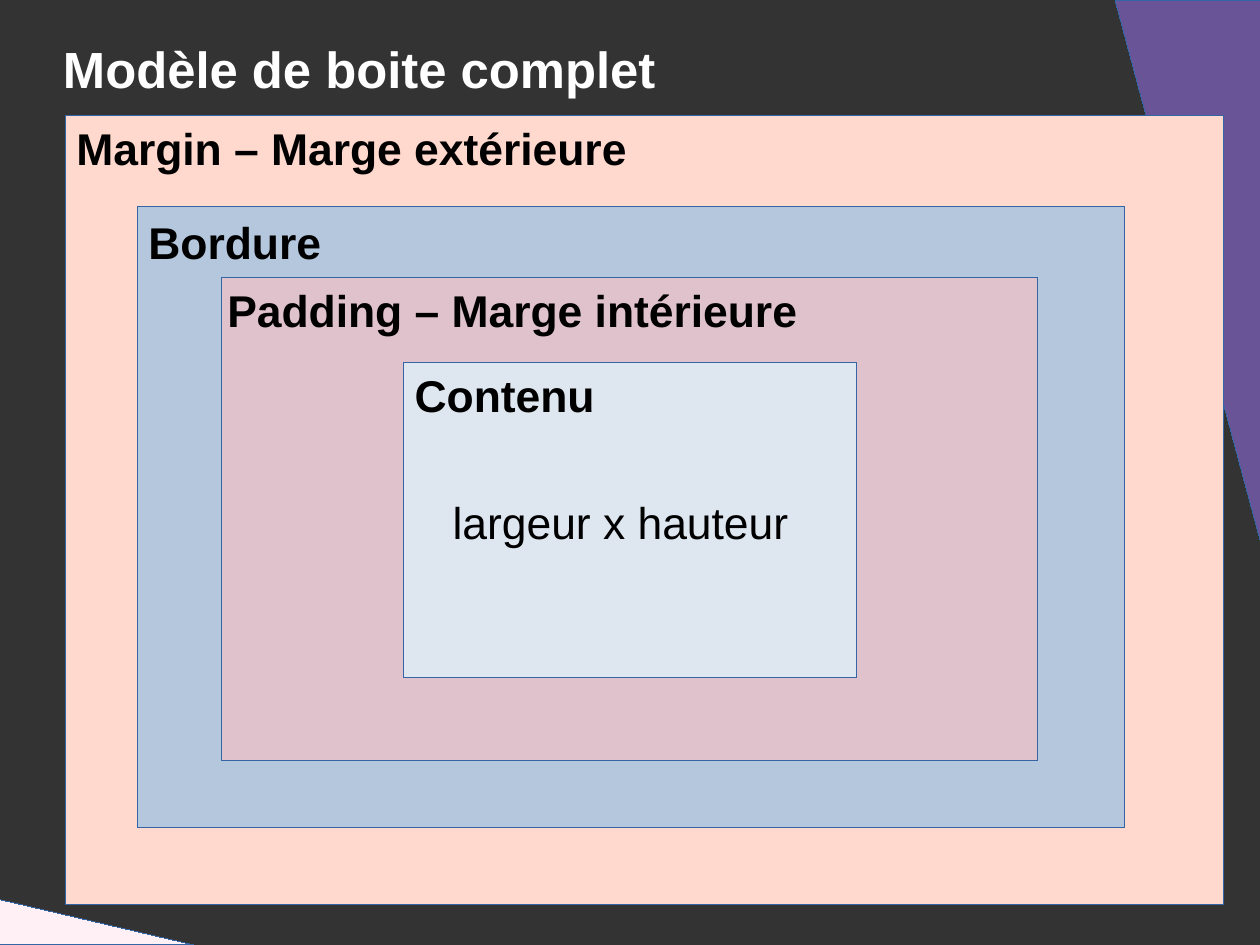
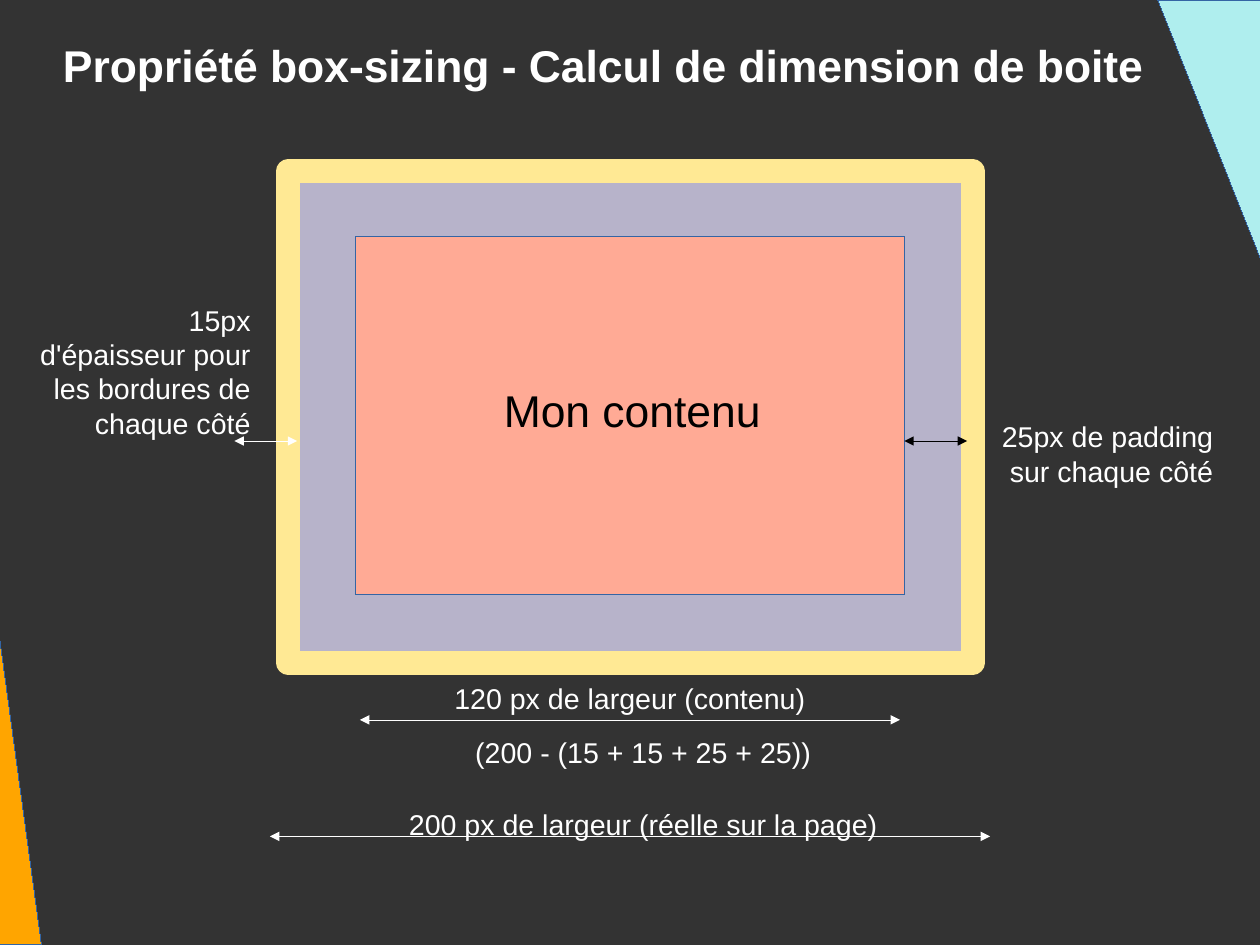
"""Build two slides on the CSS box model and box-sizing."""
from dataclasses import dataclass

from lxml.etree import SubElement
from pptx import Presentation
from pptx.dml.color import RGBColor
from pptx.dml.line import LineFormat
from pptx.enum.shapes import MSO_CONNECTOR as Conn, MSO_SHAPE as Form
from pptx.enum.text import PP_ALIGN as Align
from pptx.oxml.ns import qn
from pptx.shapes.autoshape import Shape
from pptx.slide import Slide
from pptx.util import Cm, Emu, Pt

WIDE, HIGH = Cm(28), Cm(21)
FONT = "Arial"
DARK, WHITE, BLACK, EDGE = "333333", "FFFFFF", "000000", "3465A4"


@dataclass(frozen=True)
class Area:
    """A place on the slide, in percent of its width and height."""
    left: float
    top: float
    width: float
    height: float


@dataclass(frozen=True)
class Box:
    """A filled rectangle with its outline."""
    area: Area
    fill: str
    edge: str = EDGE
    weight: float = 0


@dataclass(frozen=True)
class Wedge:
    """A right triangle in a slide corner."""
    area: Area
    fill: str
    turn: int = 0


@dataclass(frozen=True)
class Label:
    """A text with its style."""
    area: Area
    text: str
    size: int = 18
    color: str = WHITE
    bold: bool = False
    align: Align = Align.LEFT
    inset: bool = True


@dataclass(frozen=True)
class Arrow:
    """A level arrow with a head at each end."""
    start: float
    end: float
    level: float
    color: str = WHITE


def paint(code: str) -> RGBColor:
    """Turn a hex string into a colour."""
    return RGBColor.from_string(code)


def across(share: float) -> Emu:
    """Turn a share of the width into a length."""
    return Emu(round(WIDE * share / 100))


def down(share: float) -> Emu:
    """Turn a share of the height into a length."""
    return Emu(round(HIGH * share / 100))


def place(area: Area) -> tuple[Emu, Emu, Emu, Emu]:
    """Give the left, top, width and height of an area."""
    return across(area.left), down(area.top), across(area.width), down(area.height)


def trace(line: LineFormat, color: str, weight: float, *ends: str) -> None:
    """Style a line, writing its width even for a hairline."""
    line.color.rgb = paint(color)
    stroke = line._get_or_add_ln()
    stroke.set("w", str(Pt(weight)))
    SubElement(stroke, qn("a:round"))
    for end in ends:
        SubElement(stroke, qn(end), type="triangle")


def draw_form(slide: Slide, form: Form, item: Box | Wedge, edge: str,
              weight: float) -> Shape:
    """Draw a filled preset shape."""
    shape = slide.shapes.add_shape(form, *place(item.area))
    shape.shadow.inherit = False
    shape.fill.solid()
    shape.fill.fore_color.rgb = paint(item.fill)
    trace(shape.line, edge, weight)
    return shape


def draw_box(slide: Slide, box: Box) -> None:
    """Draw a rectangle."""
    draw_form(slide, Form.RECTANGLE, box, box.edge, box.weight)


def draw_wedge(slide: Slide, wedge: Wedge) -> None:
    """Draw a corner triangle."""
    draw_form(slide, Form.RIGHT_TRIANGLE, wedge, EDGE, 0).rotation = wedge.turn


def draw_label(slide: Slide, label: Label) -> None:
    """Draw a text box."""
    frame = slide.shapes.add_textbox(*place(label.area)).text_frame
    frame.word_wrap = True
    if not label.inset:
        frame.margin_left = frame.margin_right = 0
        frame.margin_top = frame.margin_bottom = 0
    para = frame.paragraphs[0]
    para.alignment = label.align
    run = para.add_run()
    run.text = label.text
    run.font.name = FONT
    run.font.size = Pt(label.size)
    run.font.bold = label.bold
    run.font.color.rgb = paint(label.color)


def draw_arrow(slide: Slide, arrow: Arrow) -> None:
    """Draw an arrow with two heads."""
    level = down(arrow.level)
    line = slide.shapes.add_connector(
        Conn.STRAIGHT, across(arrow.start), level, across(arrow.end), level)
    trace(line.line, arrow.color, 0, "a:headEnd", "a:tailEnd")
    SubElement(line._element.spPr, qn("a:effectLst"))


DRAW = {Box: draw_box, Wedge: draw_wedge, Label: draw_label, Arrow: draw_arrow}


def title(text: str, size: int) -> Label:
    """Give the title of a slide."""
    return Label(Area(5, 4, 90, 8), text, size, bold=True, inset=False)


def head(left: float, top: float, text: str) -> Label:
    """Give the bold heading of a nested box."""
    return Label(Area(left, top, 60, 6.4), text, 28, BLACK, True)


def note(left: float, top: float, width: float, height: float, text: str,
         align: Align = Align.CENTER) -> Label:
    """Give a white caption."""
    return Label(Area(left, top, width, height), text, align=align)


MODEL = (
    Wedge(Area(88.5, 0, 11.5, 57.1), "685496", 180),
    Wedge(Area(0, 95.2, 15.4, 4.8), "FFF0F5"),
    Box(Area(5.17, 12.21, 91.9, 83.56), "FFD8CE"),
    Box(Area(10.89, 21.89, 78.38, 65.66), "B4C7DC"),
    Box(Area(17.6, 29.38, 64.77, 51.15), "E0C2CD"),
    Box(Area(32.02, 38.33, 36, 33.37), "DEE6EF"),
    title("Modèle de boite complet", 32),
    head(5.17, 12.21, "Margin – Marge extérieure"),
    head(10.89, 22.13, "Bordure"),
    head(17.15, 29.38, "Padding – Marge intérieure"),
    head(32.02, 38.33, "Contenu"),
    Label(Area(35.02, 51.75, 30.04, 6.4), "largeur x hauteur", 28, BLACK),
)

SIZING = (
    title("Propriété box-sizing - Calcul de dimension de boite", 28),
    Wedge(Area(0, 67.8, 3.3, 32.2), "FFA500"),
    Wedge(Area(91.9, 0, 8.1, 27.2), "AFEEEE", 180),
    Box(Area(22.86, 18.14, 54.34, 51.99), "B7B3CA", "FFE994", 15),
    Box(Area(28.21, 25.03, 43.56, 37.85), "FFAA95"),
    Label(Area(35.74, 39.9, 28.86, 6.77), "Mon contenu", 28, BLACK,
          align=Align.CENTER),
    Arrow(28.57, 71.43, 76.18),
    note(34.83, 71.46, 30.31, 4.72, "120 px de largeur (contenu)"),
    Arrow(21.42, 78.58, 88.51),
    note(31.4, 84.76, 39.29, 4.6, "200 px de largeur (réelle sur la page)"),
    Arrow(18.6, 23.59, 46.67),
    note(2.18, 31.44, 18.6, 14.75,
         "15px d'épaisseur pour les bordures de chaque côté", Align.RIGHT),
    note(78.57, 43.77, 18.6, 11.37, "25px de padding sur chaque côté", Align.RIGHT),
    Arrow(71.77, 76.76, 46.67, BLACK),
    note(31.4, 77.15, 39.29, 4.6, "(200 - (15 + 15 + 25 + 25))"),
)


def main() -> None:
    """Build and save the deck."""
    deck = Presentation()
    deck.slide_width, deck.slide_height = WIDE, HIGH
    for items in (MODEL, SIZING):
        slide = deck.slides.add_slide(deck.slide_layouts[6])
        slide.background.fill.solid()
        slide.background.fill.fore_color.rgb = paint(DARK)
        for item in items:
            DRAW[type(item)](slide, item)
    deck.save("out.pptx")


if __name__ == "__main__":
    main()
